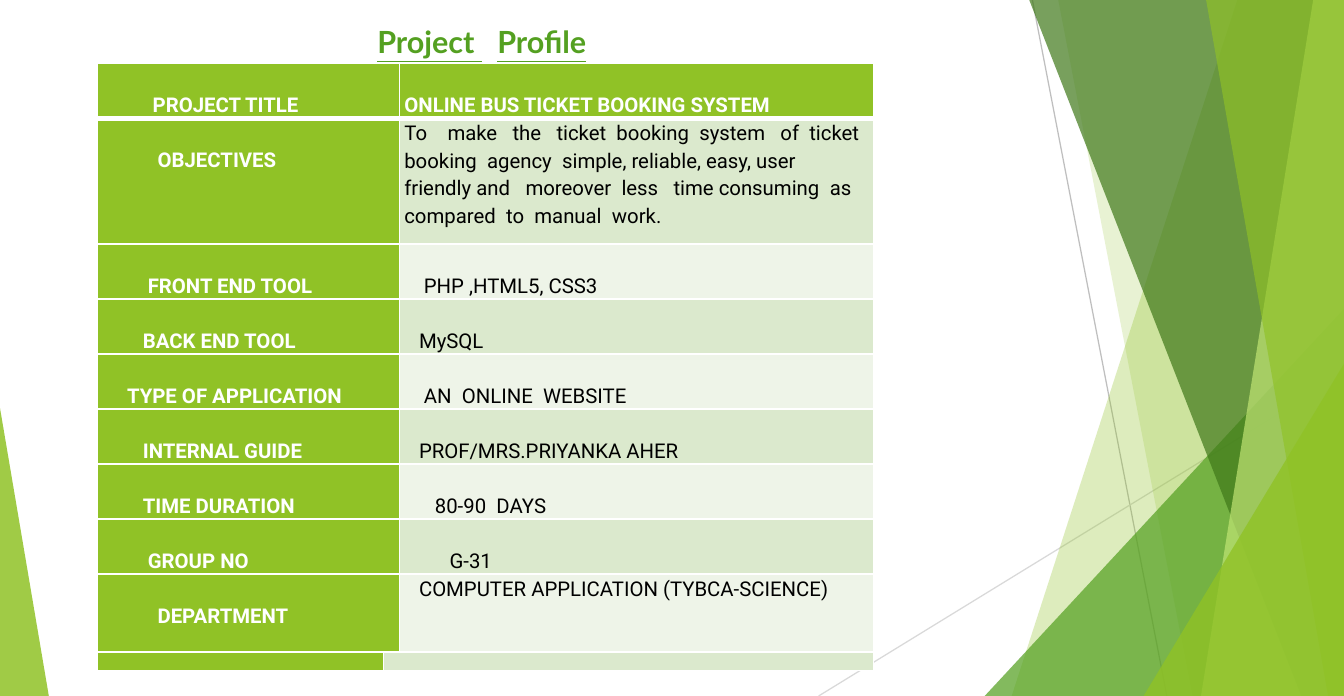
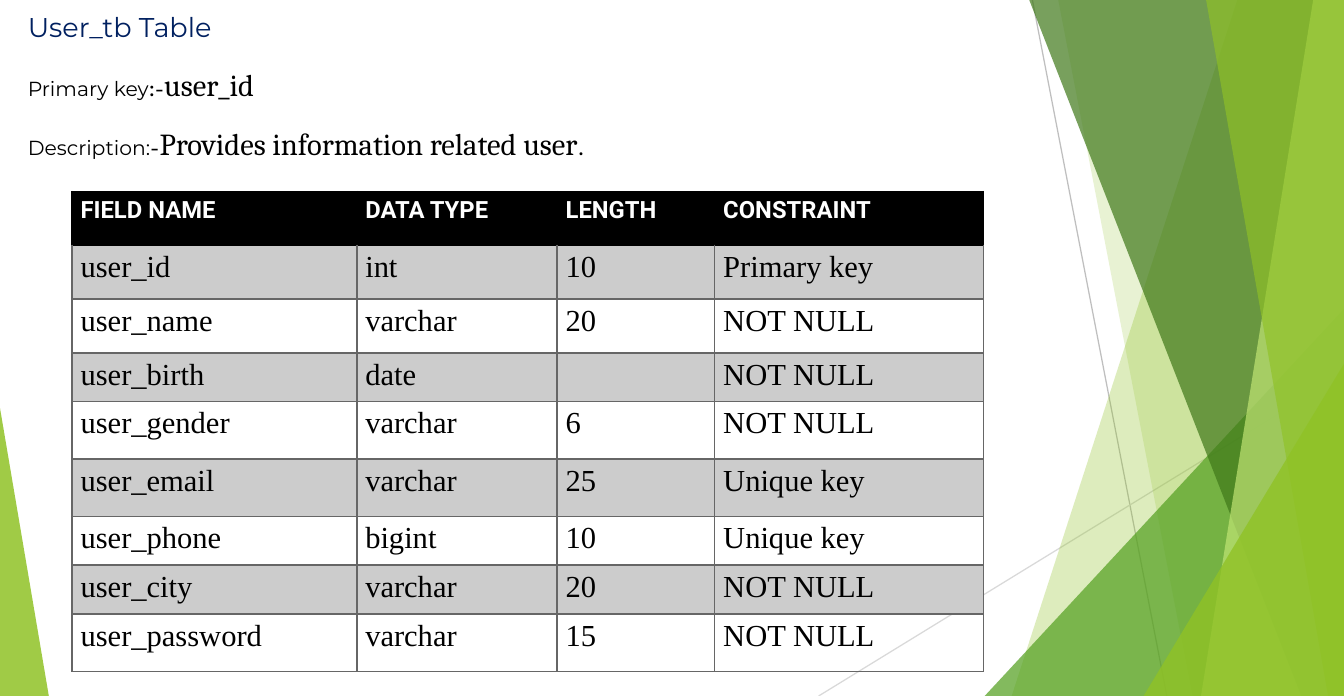
from lxml.etree import SubElement
from pptx import Presentation
from pptx.dml.color import RGBColor
from pptx.enum.shapes import MSO_CONNECTOR, MSO_SHAPE
from pptx.enum.text import MSO_AUTO_SIZE
from pptx.oxml.ns import qn
from pptx.util import Inches, Pt

WIDTH, HEIGHT = 11, 5.7
LIME, GREEN, FOREST, PALE_LIME = "90C226", "54A021", "3F7819", "C0E474"
WHITE, BLACK, NAVY = "FFFFFF", "000000", "002060"
MINT, PALE_MINT = "DBE9CD", "EEF4E8"
SILVER, GRAPHITE = "CCCCCC", "666666"
LINE_SPACING = 1.15
LINE_DROP = 0.22
WIDE_GAP = "^"

PROFILE_COLUMNS = [2.34, 0.13, 3.88]
PROFILE_ROWS = [0.45, 1.03] + [0.45] * 6 + [0.64, 0.15]
PROFILE_INSET = 0.04
OBJECTIVES = (
    "To^3make^2the^2ticket^1booking^1system^2of^1ticket\v"
    "booking^1agency^1simple, reliable, easy, user\v"
    "friendly and^2moreover^1less^2time consuming^1as\v"
    "compared^1to^1manual^1work."
)
PROFILE = [
    ("PROJECT TITLE", 0.41, "ONLINE BUS TICKET BOOKING SYSTEM", 0, LINE_DROP),
    ("OBJECTIVES", 0.45, OBJECTIVES, 0, 0),
    ("FRONT END TOOL", 0.37, "PHP ,HTML5, CSS3", 0.16, LINE_DROP),
    ("BACK END TOOL", 0.33, "MySQL", 0.12, LINE_DROP),
    ("TYPE OF APPLICATION", 0.2, "AN^1ONLINE^1WEBSITE", 0.16, LINE_DROP),
    ("INTERNAL GUIDE", 0.33, "PROF/MRS.PRIYANKA AHER", 0.12, LINE_DROP),
    ("TIME DURATION", 0.33, "80-90^1DAYS", 0.25, LINE_DROP),
    ("GROUP NO", 0.37, "G-31", 0.37, LINE_DROP),
    ("DEPARTMENT", 0.45, "COMPUTER APPLICATION (TYBCA-SCIENCE)", 0.12, 0),
]

FIELD_COLUMNS = [2.33, 1.64, 1.29, 2.2]
FIELD_ROWS = [0.44, 0.44, 0.44, 0.4, 0.47, 0.47, 0.4, 0.4, 0.47]
FIELD_INSET = 0.07
FIELDS = [
    ("FIELD NAME", "DATA TYPE", "LENGTH", "CONSTRAINT"),
    ("user_id", "int", "10", "Primary key"),
    ("user_name", "varchar", "20", "NOT NULL"),
    ("user_birth", "date", "", "NOT NULL"),
    ("user_gender", "varchar", "6", "NOT NULL"),
    ("user_email", "varchar", "25", "Unique key"),
    ("user_phone", "bigint", "10", "Unique key"),
    ("user_city", "varchar", "20", "NOT NULL"),
    ("user_password", "varchar", "15", "NOT NULL"),
]


def rgb(color):
    return RGBColor.from_string(color)


def tint(shape, color, opacity):
    shape.shadow.inherit = False
    shape.line.fill.background()
    shape.fill.solid()
    shape.fill.fore_color.rgb = rgb(color)
    swatch = shape.fill._xPr.find(qn("a:solidFill"))[0]
    SubElement(swatch, qn("a:alpha"), val=str(opacity * 1000))


def add_ray(slide, start, end, color):
    ray = slide.shapes.add_connector(
        MSO_CONNECTOR.STRAIGHT, *[Inches(v) for v in (*start, *end)])
    ray.line.color.rgb = rgb(color)
    ray.line.width = Pt(0.75)
    SubElement(ray._element.spPr, qn("a:effectLst"))


def add_facet(slide, top_left, bottom_left, color, opacity):
    top = -0.01
    outline = slide.shapes.build_freeform(Inches(top_left), Inches(top))
    corners = [(WIDTH, top), (WIDTH, HEIGHT), (bottom_left, HEIGHT)]
    outline.add_line_segments([(Inches(x), Inches(y)) for x, y in corners])
    tint(outline.convert_to_shape(), color, opacity)


def add_corner(slide, left, width, height, peak, color, opacity):
    corner = slide.shapes.add_shape(
        MSO_SHAPE.ISOSCELES_TRIANGLE, Inches(left), Inches(HEIGHT - height),
        Inches(width), Inches(height))
    corner.adjustments[0] = peak
    tint(corner, color, opacity)


def add_backdrop(slide):
    add_ray(slide, (8.45, 0), (9.55, HEIGHT), "BFBFBF")
    add_ray(slide, (WIDTH, 3.06), (6.7, HEIGHT), "D9D9D9")
    add_facet(slide, 10.13, 8.28, LIME, 30)
    add_facet(slide, 8.66, 9.76, LIME, 20)
    add_corner(slide, 8.06, 2.94, 3.17, 1, GREEN, 72)
    add_facet(slide, 8.42, 10.65, FOREST, 70)
    add_facet(slide, 10.75, 9.83, PALE_LIME, 70)
    add_facet(slide, 9.87, 10.87, LIME, 65)
    add_corner(slide, 9.36, 1.64, 2.72, 1, LIME, 80)
    add_corner(slide, 0, 0.4, 2.36, 0, LIME, 85)


def add_run(paragraph, text, size, font, color, bold=False, underline=None):
    run = paragraph.add_run()
    run.text = text
    run.font.size = Pt(size)
    run.font.name = font
    run.font.color.rgb = rgb(color)
    run.font.bold = bold
    run.font.underline = underline
    return run


def add_phrase(paragraph, text, size, *style):
    first, *others = text.split(WIDE_GAP)
    add_run(paragraph, first, size, *style)
    for piece in others:
        gap = add_run(paragraph, " ", size, *style)
        gap._r.get_or_add_rPr().set("spc", str(int(piece[0]) * size * 25))
        add_run(paragraph, piece[1:], size, *style)


def add_text(slide, left, top, width, height, paragraphs, spacing=None, after=None):
    box = slide.shapes.add_textbox(
        Inches(left), Inches(top), Inches(width), Inches(height))
    frame = box.text_frame
    frame.word_wrap = True
    frame.auto_size = MSO_AUTO_SIZE.SHAPE_TO_FIT_TEXT
    for index, runs in enumerate(paragraphs):
        paragraph = frame.add_paragraph() if index else frame.paragraphs[0]
        paragraph.line_spacing = spacing
        paragraph.space_after = after
        for run in runs:
            add_phrase(paragraph, *run)


def add_grid(slide, left, top, columns, rows):
    grid = slide.shapes.add_table(
        len(rows), len(columns), Inches(left), Inches(top),
        Inches(sum(columns)), Inches(sum(rows))).table
    grid.first_row = grid.horz_banding = False
    for column, width in zip(grid.columns, columns):
        column.width = Inches(width)
    for row, height in zip(grid.rows, rows):
        row.height = Inches(height)
    return grid


def style_cell(cell, fill, inset, side, top, bottom):
    cell.margin_left = cell.margin_right = Inches(inset)
    cell.margin_top = cell.margin_bottom = 0
    properties = cell._tc.get_or_add_tcPr()
    edges = {"a:lnL": side, "a:lnR": side, "a:lnT": top, "a:lnB": bottom}
    for tag, (color, width) in edges.items():
        edge = SubElement(properties, qn(tag), w=str(Pt(width)))
        SubElement(SubElement(edge, qn("a:solidFill")), qn("a:srgbClr"), val=color)
    if fill:
        cell.fill.solid()
        cell.fill.fore_color.rgb = rgb(fill)
    else:
        cell.fill.background()


def write_cell(cell, text, size, font, color, bold, indent=0, drop=0):
    cell.margin_top = Inches(drop)
    paragraph = cell.text_frame.paragraphs[0]
    if not text:
        SubElement(paragraph._p, qn("a:endParaRPr"), sz=str(size * 100))
        return
    paragraph.line_spacing = LINE_SPACING
    paragraph._p.get_or_add_pPr().set("marL", str(Inches(indent)))
    for index, line in enumerate(text.split("\v")):
        if index:
            paragraph.add_line_break()
        add_phrase(paragraph, line, size, font, color, bold)


def add_profile(slide):
    grid = add_grid(slide, 0.8, 0.52, PROFILE_COLUMNS, PROFILE_ROWS)
    thin, thick = (WHITE, 1), (WHITE, 3)
    last = len(PROFILE)
    for row in range(last + 1):
        band = LIME if row == 0 else MINT if row % 2 else PALE_MINT
        label_span = 1 if row == last else 2
        for column in range(3):
            style_cell(grid.cell(row, column), LIME if column < label_span else band,
                       PROFILE_INSET, thin, thick if row == 1 else thin,
                       thick if row == 0 else thin)
    for row, (label, label_indent, value, indent, drop) in enumerate(PROFILE):
        grid.cell(row, 0).merge(grid.cell(row, 1))
        write_cell(grid.cell(row, 0), label, 12, "Roboto", WHITE, True,
                   label_indent, LINE_DROP)
        write_cell(grid.cell(row, 2), value, 12, "Roboto", BLACK if row else WHITE,
                   row == 0, indent, drop)
    grid.cell(last, 1).merge(grid.cell(last, 2))
    for column in range(3):
        write_cell(grid.cell(last, column), "", 6, "Roboto", BLACK, False)


def add_fields(slide):
    grid = add_grid(slide, 0.59, 1.57, FIELD_COLUMNS, FIELD_ROWS)
    dark, grey = (BLACK, 1), (GRAPHITE, 1)
    for row, entries in enumerate(FIELDS):
        heading = row == 0
        fill = BLACK if heading else SILVER if row % 2 else None
        edge = dark if heading else grey
        text_style = (14, "Roboto", WHITE, True) if heading else (
            18, "Times New Roman", BLACK, False)
        for column, entry in enumerate(entries):
            cell = grid.cell(row, column)
            style_cell(cell, fill, FIELD_INSET, edge, dark if row < 2 else grey, edge)
            write_cell(cell, entry, *text_style)


def add_profile_slide(deck):
    slide = deck.slides.add_slide(deck.slide_layouts[6])
    add_backdrop(slide)
    add_profile(slide)
    add_text(slide, 2.99, 0.14, 3.37, 0.4,
             [[("Project^2Profile", 18, "Lato", GREEN, True, True)]])


def add_user_slide(deck):
    slide = deck.slides.add_slide(deck.slide_layouts[6])
    add_backdrop(slide)
    label = (12, "Montserrat", BLACK)
    mark = (14, "League Spartan", BLACK)
    detail = (18, "Cambria", BLACK)
    add_text(slide, 0.13, 0, 9.16, 1.39, [
        [("User_tb Table", 16, "Montserrat", NAVY)],
        [("Primary key", *label), (":-", *mark), ("user_id", *detail)],
        [("Description:", *label), ("-", *mark),
         ("Provides information related user", *detail), (".", *mark)],
    ], LINE_SPACING, Pt(10))
    add_fields(slide)


def main():
    deck = Presentation()
    deck.slide_width, deck.slide_height = Inches(WIDTH), Inches(HEIGHT)
    add_profile_slide(deck)
    add_user_slide(deck)
    deck.save("out.pptx")


if __name__ == "__main__":
    main()
